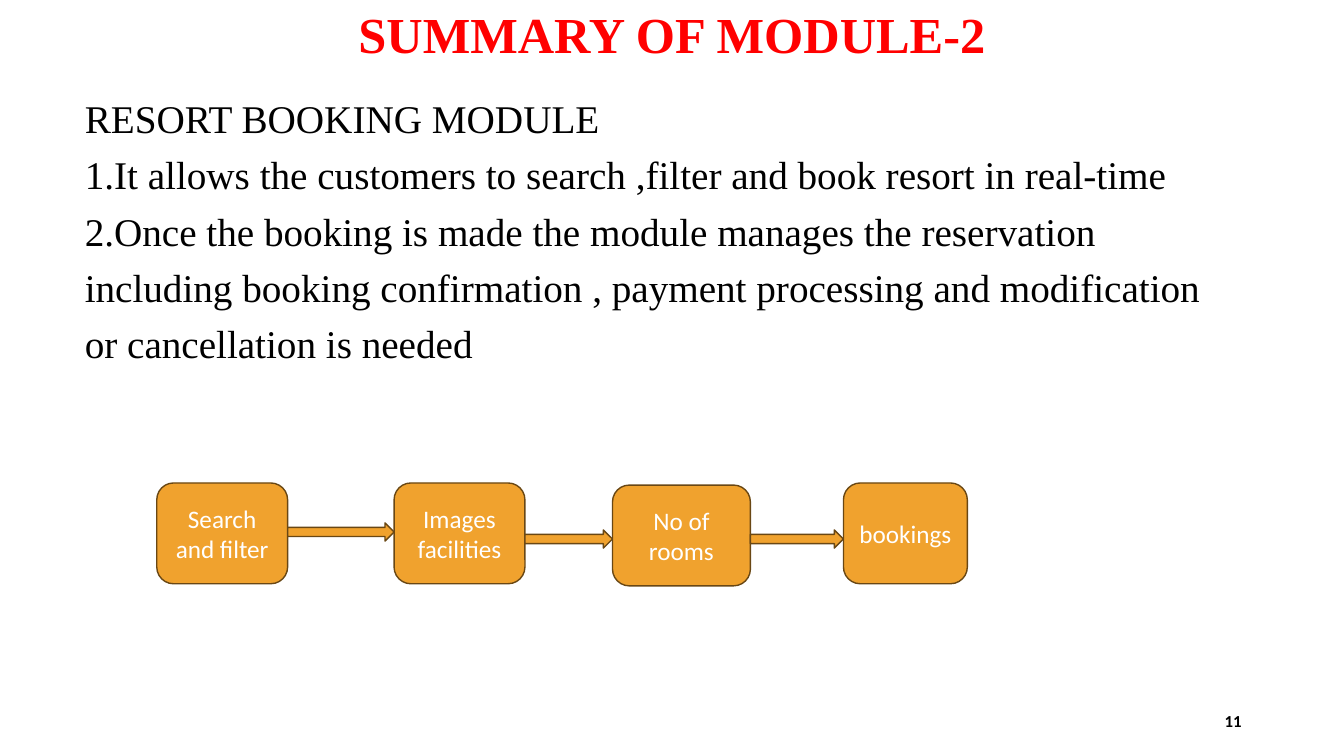
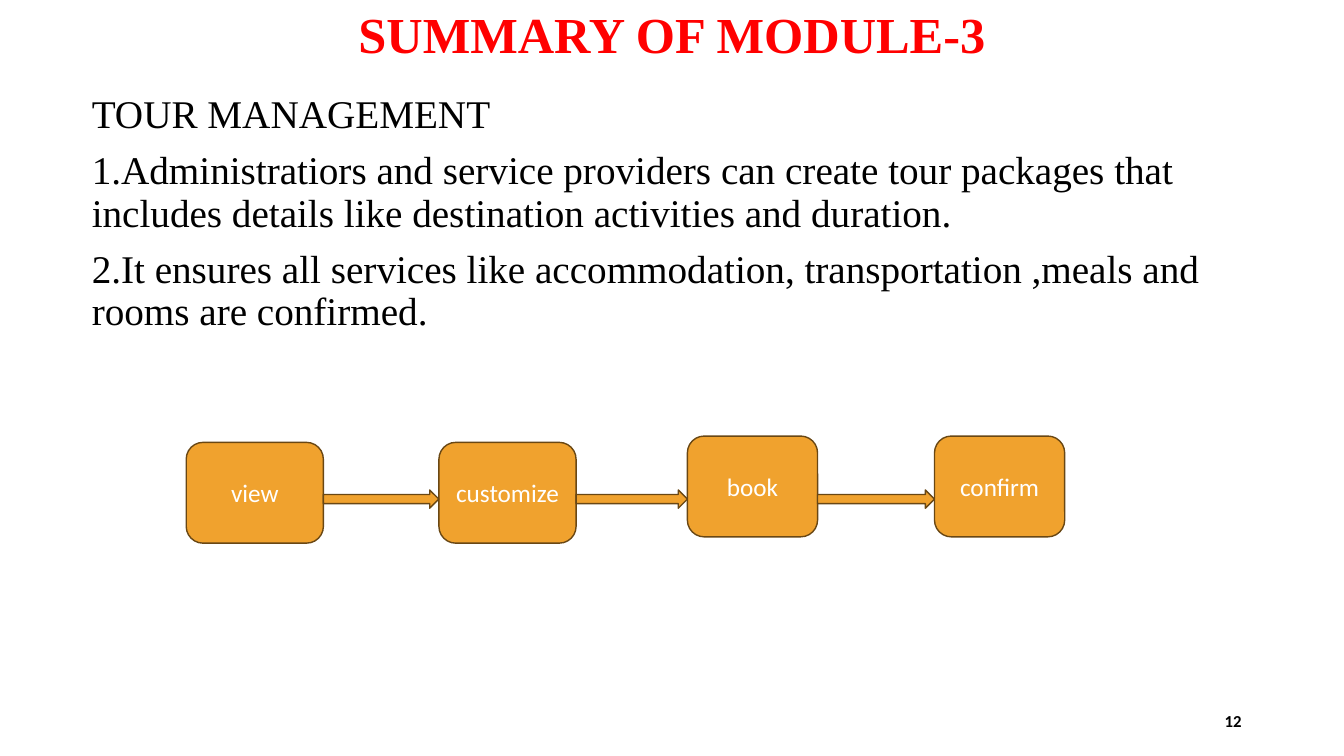
import pptx
import pptx.util
from pptx.dml.color import RGBColor
from pptx.enum.shapes import MSO_SHAPE
from pptx.enum.text import MSO_ANCHOR, MSO_AUTO_SIZE, PP_ALIGN

Pt = pptx.util.Pt

RED, BLACK, WHITE = "FF0000", "000000", "FFFFFF"
ORANGE, BROWN = "F0A22E", "694714"
SERIF, SANS = "Times New Roman", "Calibri"
SLIDE_W, SLIDE_H = 960, 540
BOX_H, ARROW_H = 72, 13

# Boxes are (text, left, top, width); arrow_tops go with the gaps between them.
SLIDES = [
    dict(
        title="SUMMARY OF MODULE-2",
        number="11",
        body_at=(53.5, 67.5),
        body=[
            "RESORT BOOKING MODULE",
            "1.It allows the customers to search ,filter and book resort in real-time",
            "2.Once the booking is made the module manages the reservation",
            "including booking confirmation , payment processing and modification",
            "or cancellation is needed",
        ],
        boxes=[
            ("Search and filter", 112, 345, 93.5),
            ("Images facilities", 281.5, 345, 93.5),
            ("No of rooms", 437.5, 346.5, 98.5),
            ("bookings", 602.5, 345, 88.5),
        ],
        arrow_tops=[373.5, 378.5, 378.5],
    ),
    dict(
        title="SUMMARY OF MODULE-3",
        number="12",
        body_at=(58.5, 64),
        body=[
            "TOUR MANAGEMENT",
            "1.Administratiors and service providers can create tour packages that "
            "includes details like destination activities and duration.",
            "2.It ensures all services like accommodation, transportation ,meals and "
            "rooms are confirmed.",
        ],
        boxes=[
            ("view", 133, 316, 98),
            ("customize", 313.5, 316, 98),
            ("book", 491, 311.5, 93),
            ("confirm", 667.5, 311.5, 93),
        ],
        arrow_tops=[350, 350, 350],
    ),
]


def color(value):
    return RGBColor.from_string(value)


def style(p, size, name, value, bold=False, align=PP_ALIGN.LEFT):
    p.alignment = align
    p.font.size = Pt(size)
    p.font.name = name
    p.font.bold = bold
    p.font.color.rgb = color(value)


def set_title(s, text):
    sp = s.shapes.title
    sp.left, sp.top, sp.width, sp.height = Pt(0), Pt(0), Pt(SLIDE_W), Pt(53)
    tf = sp.text_frame
    tf.text = text
    tf.auto_size = MSO_AUTO_SIZE.NONE
    tf.vertical_anchor = MSO_ANCHOR.MIDDLE
    p = tf.paragraphs[0]
    style(p, 36, SERIF, RED, bold=True, align=PP_ALIGN.CENTER)
    p.line_spacing = 0.9


def add_text(s, left, top, width, height, text):
    tf = s.shapes.add_textbox(Pt(left), Pt(top), Pt(width), Pt(height)).text_frame
    tf.word_wrap = True
    tf.text = text
    return tf


def add_body(s, left, top, lines):
    tf = add_text(s, left, top, 828, 343, "\n".join(lines))
    for p in tf.paragraphs:
        style(p, 28, SERIF, BLACK)
        p.line_spacing = 0.9
        p.space_before = Pt(10)


def add_number(s, number):
    tf = add_text(s, 678, 500.5, 216, 28.5, number)
    tf.vertical_anchor = MSO_ANCHOR.MIDDLE
    style(tf.paragraphs[0], 12, SANS, BLACK, bold=True, align=PP_ALIGN.RIGHT)


def add_shape(s, kind, left, top, width, height):
    sp = s.shapes.add_shape(kind, Pt(left), Pt(top), Pt(width), Pt(height))
    sp.shadow.inherit = False
    sp.fill.solid()
    sp.fill.fore_color.rgb = color(ORANGE)
    sp.line.color.rgb = color(BROWN)
    sp.line.width = Pt(1)
    return sp


def add_flow(s, boxes, arrow_tops):
    """Draw the boxes, then an arrow across each gap between neighbours."""
    for text, left, top, width in boxes:
        sp = add_shape(s, MSO_SHAPE.ROUNDED_RECTANGLE, left, top, width, BOX_H)
        tf = sp.text_frame
        tf.word_wrap = True
        tf.vertical_anchor = MSO_ANCHOR.MIDDLE
        tf.text = text
        style(tf.paragraphs[0], 18, SANS, WHITE, align=PP_ALIGN.CENTER)
    for (_, left, _, width), following, top in zip(boxes, boxes[1:], arrow_tops):
        start = left + width
        add_shape(s, MSO_SHAPE.RIGHT_ARROW, start, top, following[1] - start, ARROW_H)


def main():
    prs = pptx.Presentation()
    prs.slide_width, prs.slide_height = Pt(SLIDE_W), Pt(SLIDE_H)
    title_only = prs.slide_layouts.get_by_name("Title Only")
    for content in SLIDES:
        s = prs.slides.add_slide(title_only)
        set_title(s, content["title"])
        add_body(s, *content["body_at"], content["body"])
        add_number(s, content["number"])
        add_flow(s, content["boxes"], content["arrow_tops"])
    prs.save("out.pptx")


if __name__ == "__main__":
    main()
